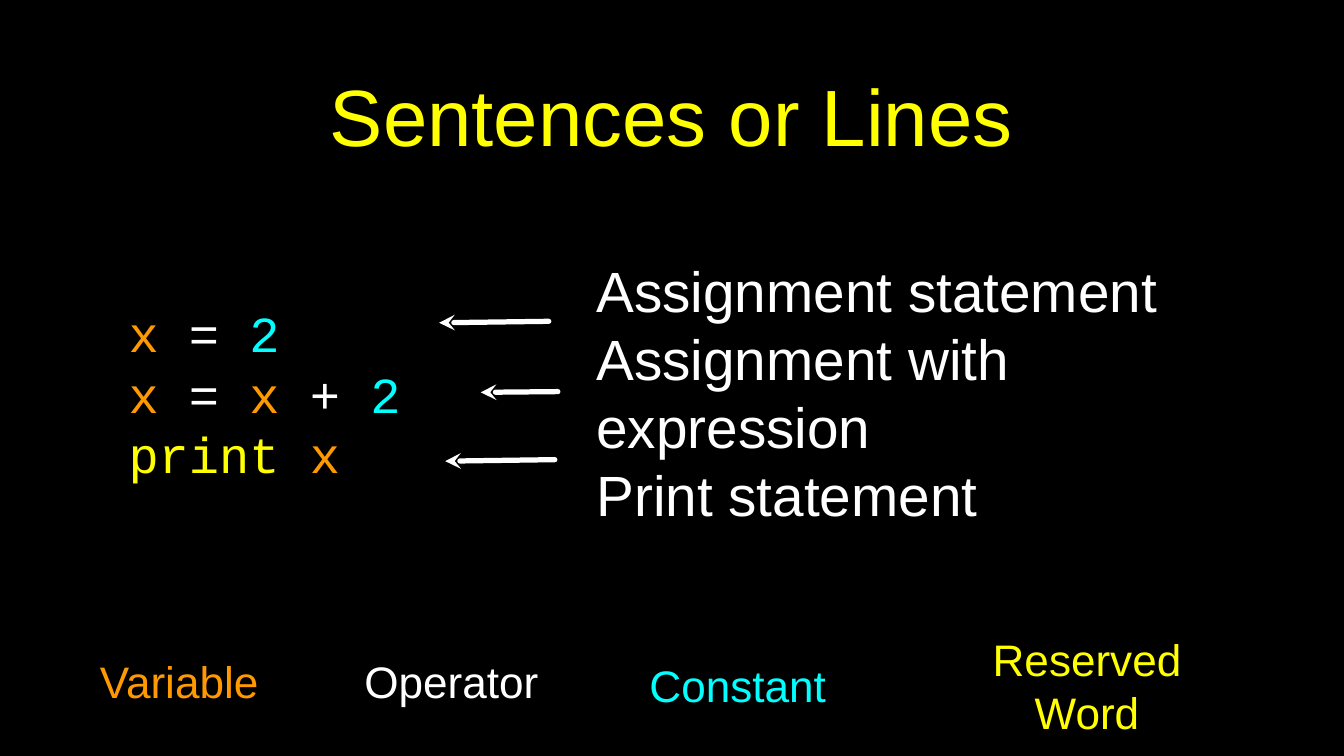
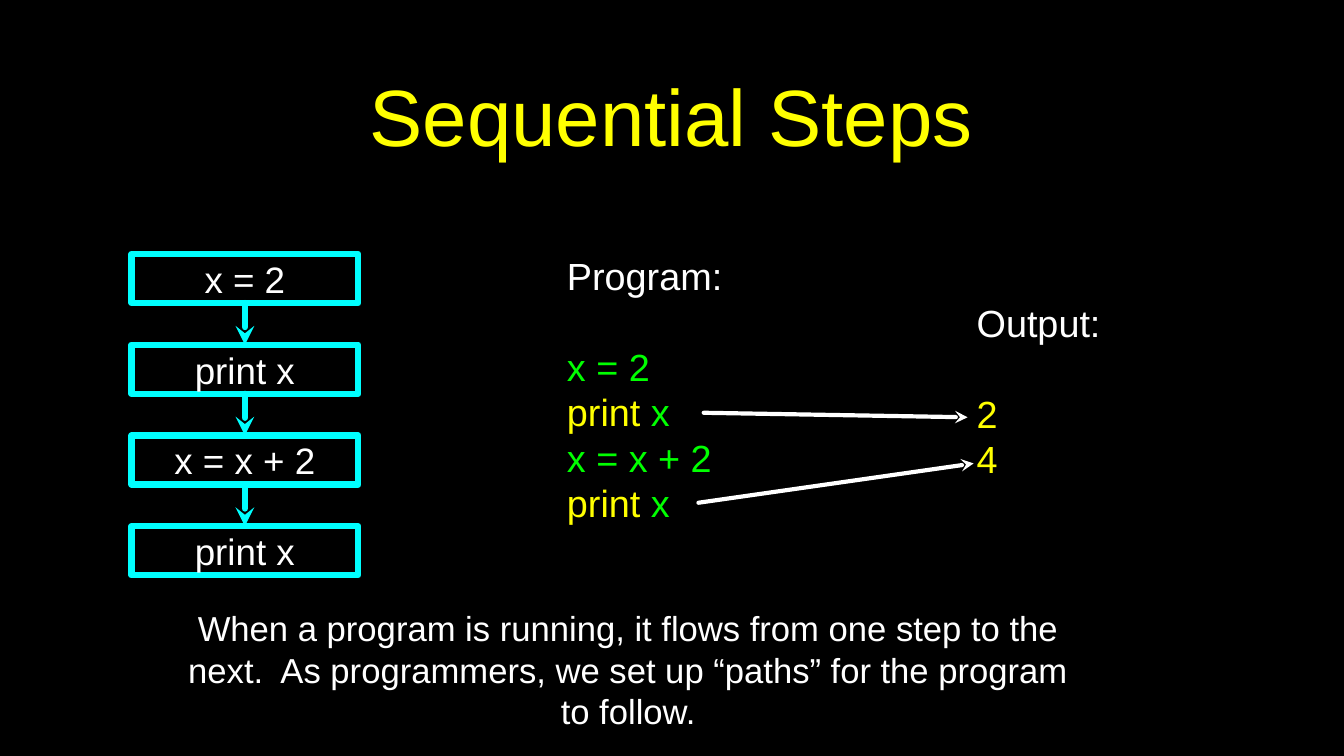
from itertools import pairwise

from pptx import Presentation
from pptx.dml.color import RGBColor
from pptx.enum.shapes import MSO_CONNECTOR, MSO_SHAPE
from pptx.enum.text import MSO_ANCHOR, PP_ALIGN
from pptx.oxml.ns import qn
from pptx.util import Inches, Pt
from lxml.etree import SubElement

COLORS = {
    "black": "000000",
    "white": "FFFFFF",
    "yellow": "FFFF00",
    "orange": "FF9900",
    "cyan": "00FFFF",
    "green": "00FF00",
}
LINE_HEIGHT = 1.2


def rgb(name):
    return RGBColor.from_string(COLORS[name])


class Deck:
    """Holds the shared style and the slide being filled."""

    def __init__(self):
        self.presentation = Presentation()
        self.presentation.slide_width = Inches(17.78)
        self.presentation.slide_height = Inches(10)
        self.slide = None

    def new_slide(self, title):
        self.slide = self.presentation.slides.add_slide(self.presentation.slide_layouts[6])
        background = self.slide.background.fill
        background.solid()
        background.fore_color.rgb = rgb("black")
        self.text((1.26, 0.26, 15.24, 2.51), [[(title, "yellow")]], 76,
                  align=PP_ALIGN.CENTER, inset=0.04)

    def fill_text(self, frame, lines, size, font="Arial", align=PP_ALIGN.LEFT,
                  inset=0, heading=False):
        """Write lines of (text, colour) runs; a heading is followed by one line of space."""
        frame.word_wrap = True
        frame.vertical_anchor = MSO_ANCHOR.MIDDLE
        frame.margin_left = frame.margin_right = Inches(inset)
        frame.margin_top = frame.margin_bottom = Inches(inset)
        for number, line in enumerate(lines):
            paragraph = frame.add_paragraph() if number else frame.paragraphs[0]
            paragraph.alignment = align
            paragraph.line_spacing = Pt(size * LINE_HEIGHT)
            if heading and number == 1:
                paragraph.space_before = Pt(size * LINE_HEIGHT)
            for words, color in line:
                run = paragraph.add_run()
                run.text = words
                run.font.name = font
                run.font.size = Pt(size)
                run.font.color.rgb = rgb(color)

    def text(self, place, lines, size, **style):
        area = self.slide.shapes.add_textbox(*map(Inches, place))
        self.fill_text(area.text_frame, lines, size, **style)

    def step(self, place, words):
        """Draw an outlined box for one step of the program."""
        box = self.slide.shapes.add_shape(MSO_SHAPE.RECTANGLE, *map(Inches, place))
        box.shadow.inherit = False
        box.fill.background()
        self.outline(box, "cyan", 6)
        self.fill_text(box.text_frame, [[(words, "white")]], 35, align=PP_ALIGN.CENTER)
        return box

    def outline(self, shape, color, width):
        """Set a rounded line and return its XML element."""
        shape.line.color.rgb = rgb(color)
        shape.line.width = Pt(width)
        line = shape.element.spPr.find(qn("a:ln"))
        line.set("cap", "rnd")
        SubElement(line, qn("a:round"))
        return line

    def arrow(self, start, end, color, width):
        connector = self.slide.shapes.add_connector(
            MSO_CONNECTOR.STRAIGHT, *map(Inches, (*start, *end)))
        line = self.outline(connector, color, width)
        SubElement(line, qn("a:tailEnd"), type="stealth")
        SubElement(connector.element.spPr, qn("a:effectLst"))
        return connector

    def flow(self, upper, lower):
        """Join two steps with a downward arrow."""
        connector = self.arrow((0, 0), (0, 0), "cyan", 6)
        connector.begin_connect(upper, 2)
        connector.end_connect(lower, 0)


def add_sentences(deck):
    deck.new_slide("Sentences or Lines")
    x, equals, two = ("x ", "orange"), ("= ", "white"), ("2", "cyan")
    code = [
        [x, equals, two],
        [x, equals, x, ("+ ", "white"), two],
        [("print ", "yellow"), ("x", "orange")],
    ]
    deck.text((1.7, 2.99, 4.38, 4.42), code, 48, font="Courier New")

    legend = [
        ("Variable", "orange", 1.09, 8.61, 2.56),
        ("Operator", "white", 4.77, 8.61, 2.4),
        ("Constant", "cyan", 8.48, 8.67, 2.56),
        ("Reserved Word", "yellow", 12.47, 8.67, 3.82),
    ]
    for word, color, left, top, width in legend:
        deck.text((left, top, width, 0.79), [[(word, color)]], 42, align=PP_ALIGN.CENTER)

    meanings = ["Assignment statement", "Assignment with expression", "Print statement"]
    deck.text((7.89, 2.97, 9.26, 4.42), [[(meaning, "white")] for meaning in meanings], 54)
    for start, end in [
        ((7.26, 4.25), (5.81, 4.27)),
        ((7.38, 5.18), (6.36, 5.19)),
        ((7.34, 6.08), (5.89, 6.1)),
    ]:
        deck.arrow(start, end, "white", 5)


def add_steps(deck):
    deck.new_slide("Sequential Steps")
    print_x = [("print ", "yellow"), ("x", "green")]
    program = [
        [("Program:", "white")],
        [("x = 2", "green")],
        print_x,
        [("x = x + 2", "green")],
        print_x,
    ]
    deck.text((7.5, 3.36, 2.38, 3.57), program, 36, heading=True)
    output = [[("Output:", "white")], [("2", "yellow")], [("4", "yellow")]]
    deck.text((12.92, 4, 2.18, 2.33), output, 36, heading=True)

    steps = [deck.step((1.74, 3.36 + 1.2 * row, 3, 0.65), words)
             for row, words in enumerate(["x = 2", "print x", "x = x + 2", "print x"])]
    for upper, lower in pairwise(steps):
        deck.flow(upper, lower)

    deck.arrow((9.31, 5.46), (12.8, 5.52), "white", 4)
    deck.arrow((9.24, 6.65), (12.88, 6.13), "white", 4)
    summary = ("When a program is running, it flows from one step to the next.  "
               "As programmers, we set up “paths” for the program to follow.")
    deck.text((2.25, 8.27, 12.12, 1.17), [[(summary, "white")]], 33, align=PP_ALIGN.CENTER)


def main():
    deck = Deck()
    add_sentences(deck)
    add_steps(deck)
    deck.presentation.save("out.pptx")


if __name__ == "__main__":
    main()
